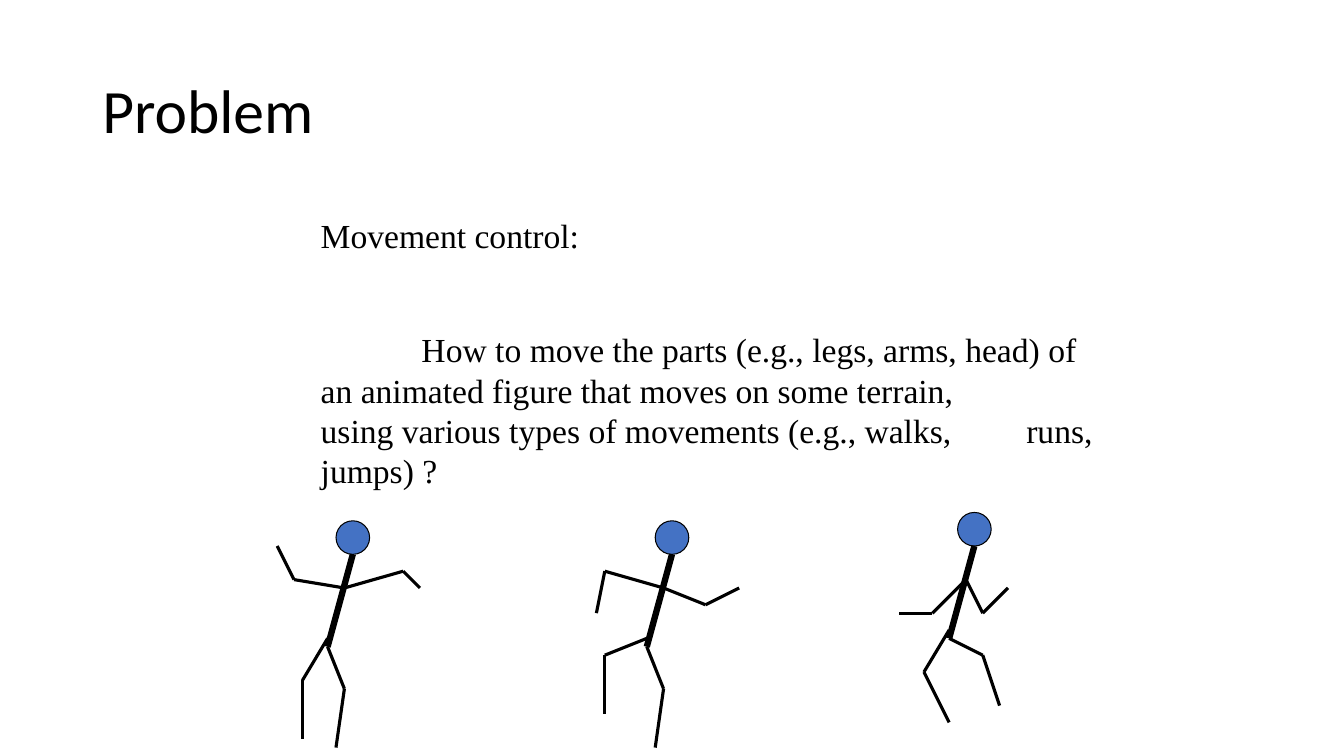
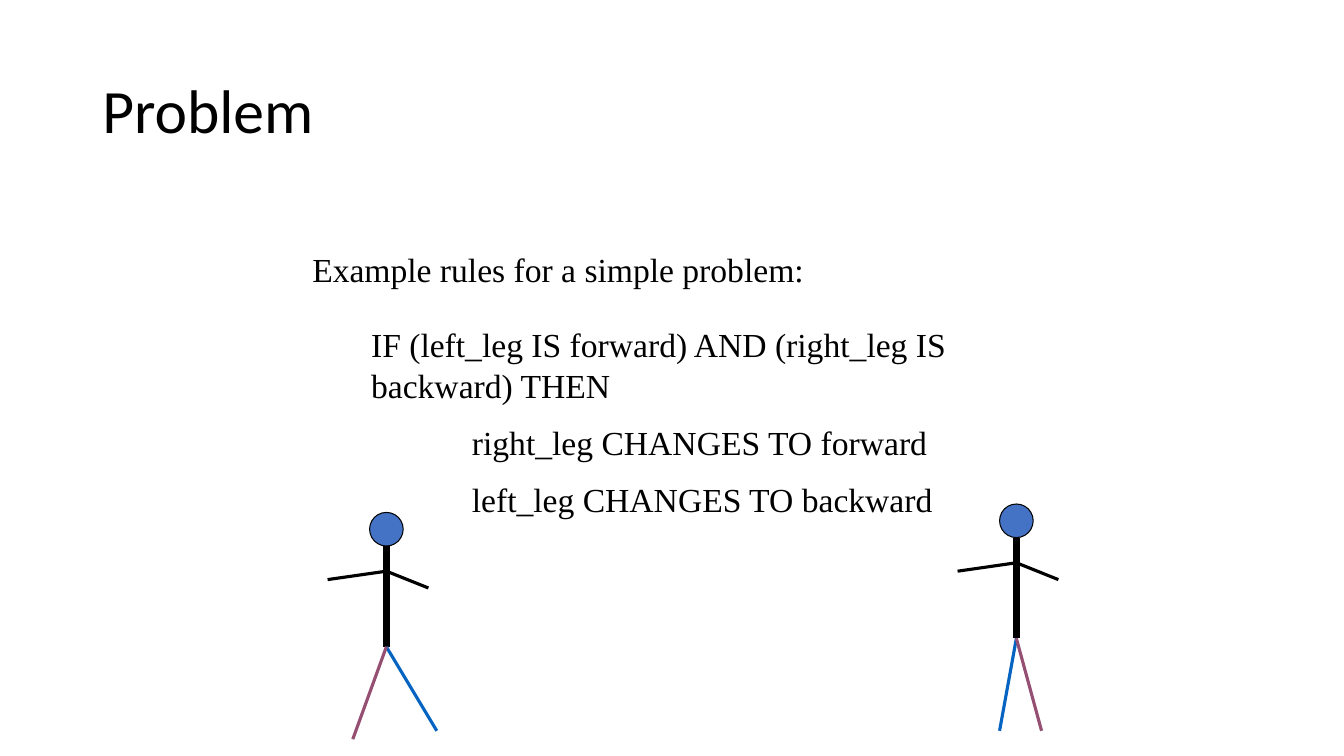
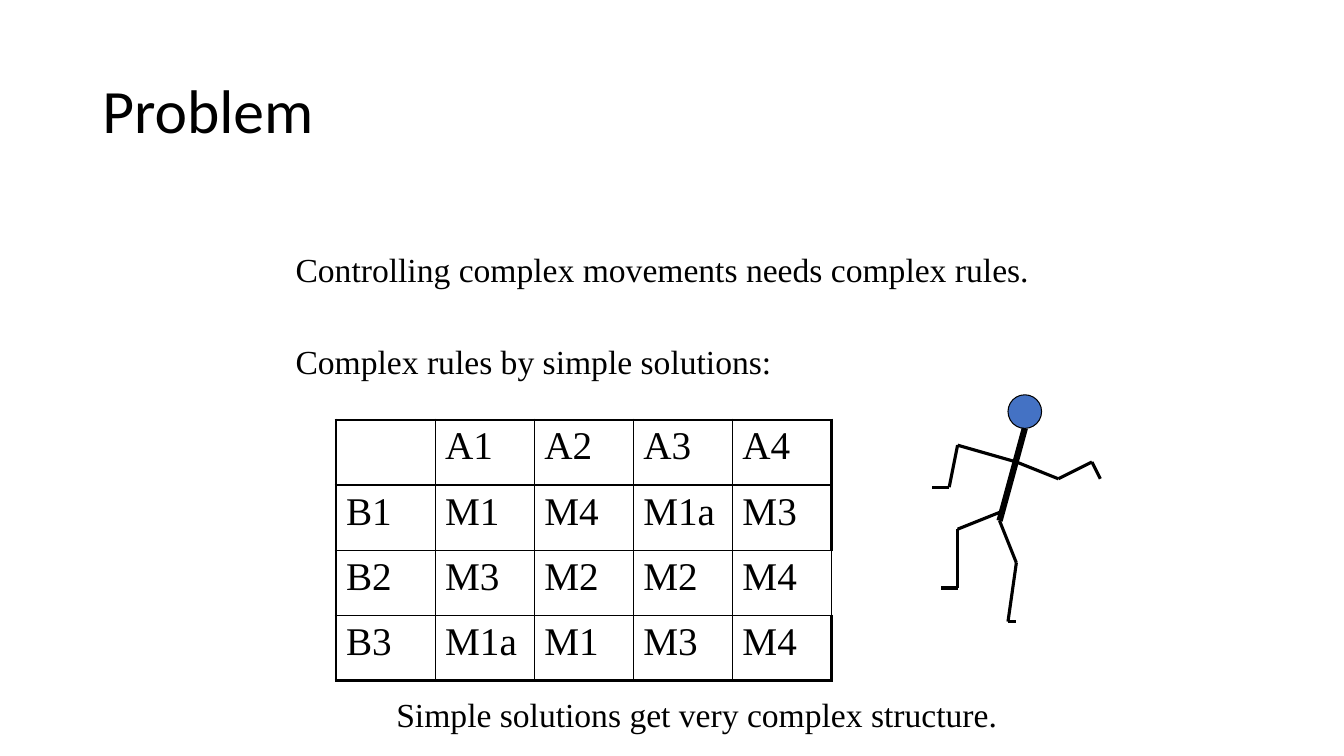
import itertools

import pptx
import pptx.dml.color
import pptx.enum.shapes
import pptx.enum.text
import pptx.oxml
import pptx.oxml.ns
import pptx.util

Pt = pptx.util.Pt

BLACK, BLUE, PURPLE, HEAD_BLUE = "000000", "0563C1", "954F72", "4472C4"
TITLE_FONT, BODY_FONT = "Calibri", "Times New Roman"
THIN, THICK = 1, 2.25
GRID = 6  # points per unit in the stick figures
TAB = 72

# Joints are in grid units from the top left of the head's box.
LEANING_TRUNK = [(2, 4), (-1, 15)]
UPRIGHT_TRUNK = [(2, 4), (2, 16)]
STANDING_LEG = [(-1, 15), (1, 20), (0, 27)]
REACHING_ARM = [(1, 8), (6, 10), (10, 8)]
BENT_ARM = [(1, 8), (-6, 6), (-7, 11)]
RAISED_LEG = [(-1, 14), (-6, 16), (-6, 23)]
SPREAD_ARMS = [(-5, 8), (2, 7), (7, 9)]


def color(hex_string):
    return pptx.dml.color.RGBColor.from_string(hex_string)


class Deck:
    def __init__(self):
        self.presentation = pptx.Presentation()
        self.presentation.slide_width = Pt(960)
        self.presentation.slide_height = Pt(540)
        self.slide = None

    def add_slide(self, title):
        self.slide = self.presentation.slides.add_slide(self.presentation.slide_layouts[6])
        frame = self.text_frame(66, 28.8, 828, 104.4)
        frame.vertical_anchor = pptx.enum.text.MSO_ANCHOR.MIDDLE
        frame.paragraphs[0].line_spacing = 0.9
        self.run(frame.paragraphs[0], title, 44, TITLE_FONT)

    def text_frame(self, left, top, width, height):
        box = self.slide.shapes.add_textbox(Pt(left), Pt(top), Pt(width), Pt(height))
        box.text_frame.word_wrap = True
        return box.text_frame

    def run(self, paragraph, text, size, font=BODY_FONT):
        run = paragraph.add_run()
        run.text = text
        run.font.name = font
        run.font.size = Pt(size)
        run.font.color.rgb = color(BLACK)

    def tab_stops(self, paragraph, width):
        """Set evenly spaced tab stops across the given width."""
        stops = "".join(f'<a:tab pos="{Pt(position)}" algn="l"/>'
                        for position in range(TAB, int(width), TAB))
        paragraph._p.get_or_add_pPr().append(pptx.oxml.parse_xml(
            f"<a:tabLst {pptx.oxml.ns.nsdecls('a')}>{stops}</a:tabLst>"))

    def body(self, left, top, width, height, texts, gap=12):
        """Add a body text box with one paragraph per text."""
        frame = self.text_frame(left, top, width, height)
        for index, text in enumerate(texts):
            paragraph = frame.add_paragraph() if index else frame.paragraphs[0]
            paragraph.line_spacing = Pt(28.8)
            paragraph.space_before = Pt(gap if index else 0)
            if "\t" in text:
                self.tab_stops(paragraph, width)
            self.run(paragraph, text, 24)

    def limb(self, origin, joints, line_color=BLACK, width=THICK):
        """Draw straight lines from joint to joint."""
        points = [[Pt((start + step) * GRID) for start, step in zip(origin, joint)]
                  for joint in joints]
        for start, end in itertools.pairwise(points):
            connector = self.slide.shapes.add_connector(
                pptx.enum.shapes.MSO_CONNECTOR.STRAIGHT, *start, *end)
            connector.line.color.rgb = color(line_color)
            connector.line.width = Pt(width)
            properties = connector._element.spPr
            properties.append(pptx.oxml.parse_xml(
                f"<a:effectLst {pptx.oxml.ns.nsdecls('a')}/>"))

    def figure(self, origin, trunk, limbs):
        left, top = (Pt(unit * GRID) for unit in origin)
        head = self.slide.shapes.add_shape(
            pptx.enum.shapes.MSO_SHAPE.OVAL, left, top, Pt(24), Pt(24))
        head.shadow.inherit = False
        head.fill.solid()
        head.fill.fore_color.rgb = color(HEAD_BLUE)
        head.line.color.rgb = color(BLACK)
        head.line.width = Pt(0.75)
        self.limb(origin, trunk, width=4.5)
        for joints in limbs:
            self.limb(origin, joints)

    def border(self, cell, side, width):
        cell._tc.get_or_add_tcPr().append(pptx.oxml.parse_xml(
            f'<a:{side} {pptx.oxml.ns.nsdecls("a")} w="{Pt(width)}">'
            f'<a:solidFill><a:srgbClr val="{BLACK}"/></a:solidFill></a:{side}>'))

    def table(self, left, top, width, height, rows, thin_right_rows=()):
        """Add a table with a thick frame, thin on the right of the rows named."""
        last_row, last_column = len(rows) - 1, len(rows[0]) - 1
        table = self.slide.shapes.add_table(
            len(rows), len(rows[0]), Pt(left), Pt(top), Pt(width), Pt(height)).table
        table.first_row = table.horz_banding = False
        for row, texts in enumerate(rows):
            for column, text in enumerate(texts):
                cell = table.cell(row, column)
                thick_sides = {
                    "lnL": column == 0,
                    "lnR": column == last_column and row not in thin_right_rows,
                    "lnT": row == 0,
                    "lnB": row == last_row,
                }
                for side, thick in thick_sides.items():
                    self.border(cell, side, THICK if thick else THIN)
                cell.fill.background()
                if text:
                    self.run(cell.text_frame.paragraphs[0], text, 28)


def movement_slide(deck):
    deck.add_slide("Problem")
    deck.body(222, 150, 570, 211, [
        "Movement control:",
        "\tHow to move the parts (e.g., legs, arms, head) of \tan animated figure that "
        "moves on some terrain, \tusing various types of movements (e.g., walks, "
        "\truns, jumps) ?",
    ], gap=52.8)
    deck.figure((40, 62), LEANING_TRUNK, [
        [(1, 8), (8, 6), (10, 8)],
        [(1, 8), (-5, 7), (-7, 3)],
        STANDING_LEG,
        [(-1, 14), (-4, 19), (-4, 26)],
    ])
    deck.figure((78, 62), LEANING_TRUNK, [REACHING_ARM, BENT_ARM, STANDING_LEG, RAISED_LEG])
    deck.figure((114, 61), LEANING_TRUNK, [
        [(1, 8), (3, 12), (6, 9)],
        [(1, 8), (-3, 12), (-7, 12)],
        [(-1, 15), (3, 17), (5, 23)],
        [(-1, 14), (-4, 19), (-1, 25)],
    ])


def rules_slide(deck):
    deck.add_slide("Problem")
    deck.body(216, 174, 582, 36, ["Example rules for a simple problem:"])
    deck.body(258, 228, 504, 152.6, [
        "IF (left_leg IS forward) AND (right_leg IS backward) THEN",
        "\tright_leg CHANGES TO forward",
        "\tleft_leg CHANGES TO backward",
    ])
    hip = UPRIGHT_TRUNK[-1]
    for origin, blue_foot, purple_foot in [
        ((44, 61), (8, 26), (-2, 27)),
        ((119, 60), (0, 27), (5, 27)),
    ]:
        deck.figure(origin, UPRIGHT_TRUNK, [SPREAD_ARMS])
        deck.limb(origin, [hip, blue_foot], BLUE)
        deck.limb(origin, [hip, purple_foot], PURPLE)


def solutions_slide(deck):
    deck.add_slide("Problem")
    deck.body(204, 174, 552, 36, ["Controlling complex movements needs complex rules."])
    deck.figure((120, 47), LEANING_TRUNK, [
        REACHING_ARM + [(11, 10)],
        BENT_ARM + [(-9, 11)],
        STANDING_LEG + [(1, 27)],
        RAISED_LEG + [(-8, 23)],
    ])
    deck.body(204, 240, 378, 36, ["Complex rules by simple solutions:"])
    deck.table(240, 300, 354, 186, [
        ["", "A1", "A2", "A3", "A4"],
        ["B1", "M1", "M4", "M1a", "M3"],
        ["B2", "M3", "M2", "M2", "M4"],
        ["B3", "M1a", "M1", "M3", "M4"],
    ], thin_right_rows=[2])
    deck.body(276, 492, 486, 36, ["Simple solutions get very complex structure."])


def main():
    deck = Deck()
    movement_slide(deck)
    rules_slide(deck)
    solutions_slide(deck)
    deck.presentation.save("out.pptx")


if __name__ == "__main__":
    main()
